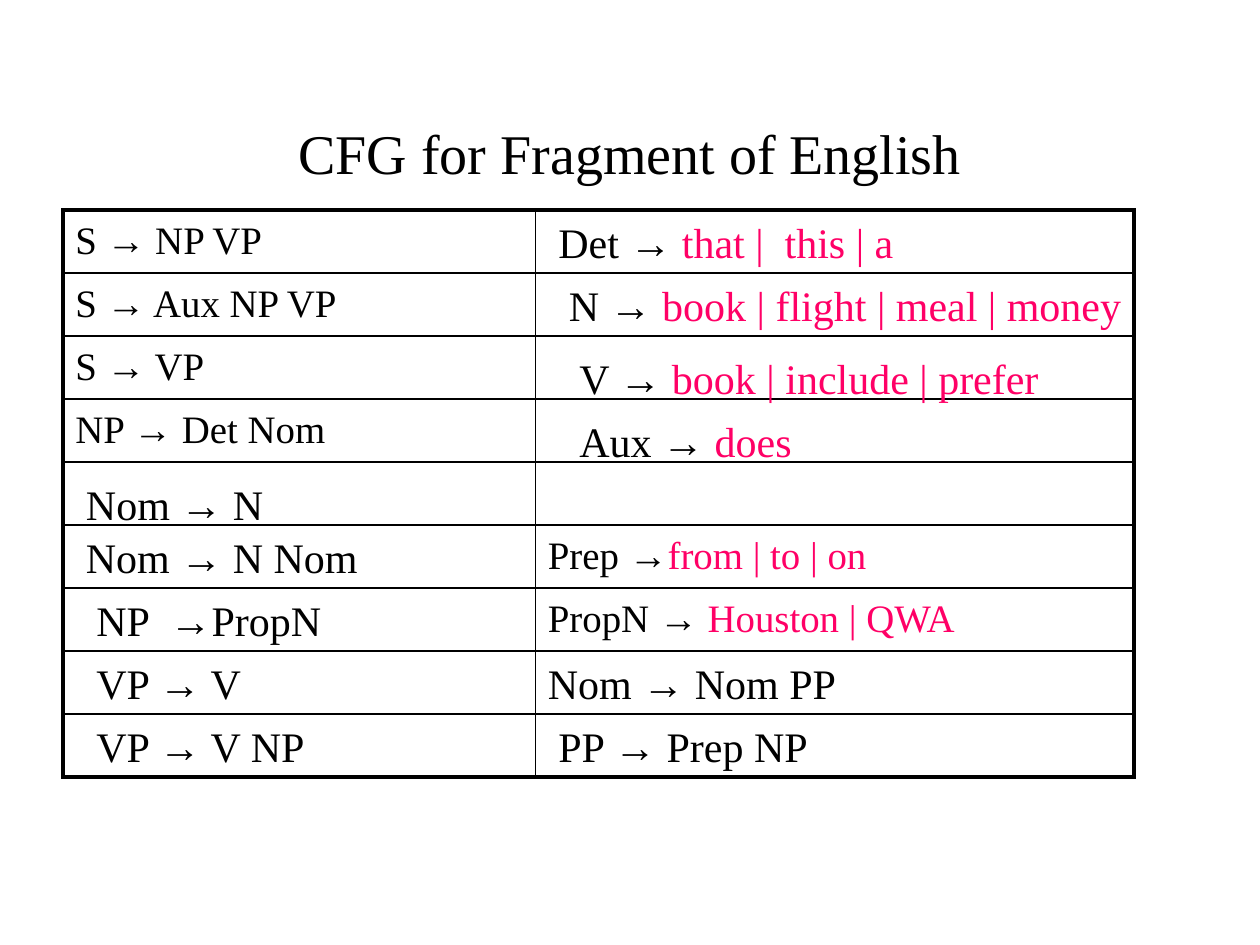
from dataclasses import dataclass

from lxml import etree
from pptx import Presentation
from pptx.dml.color import RGBColor
from pptx.enum.shapes import MSO_CONNECTOR
from pptx.enum.text import MSO_ANCHOR, MSO_AUTO_SIZE, PP_ALIGN
from pptx.oxml.ns import qn
from pptx.util import Inches, Pt

STRAIGHT = MSO_CONNECTOR.STRAIGHT
MIDDLE, TOP = MSO_ANCHOR.MIDDLE, MSO_ANCHOR.TOP
FIT_SHAPE, NO_FIT = MSO_AUTO_SIZE.SHAPE_TO_FIT_TEXT, MSO_AUTO_SIZE.NONE
CENTER, LEFT = PP_ALIGN.CENTER, PP_ALIGN.LEFT


@dataclass(frozen=True)
class Theme:
    """Colours, fonts and type sizes of the slide."""
    ink: RGBColor = RGBColor(0x00, 0x00, 0x00)
    word: RGBColor = RGBColor(0xFF, 0x00, 0x66)
    font: str = "Times New Roman"
    arrow_font: str = "Arial"
    title: float = 32
    cell: float = 22.2
    label: float = 24
    space: float = 6
    frame: float = 2.25
    rule: float = 1


@dataclass(frozen=True)
class Grid:
    """Column edges and even rows, with a small step for nudged labels."""
    columns: tuple = (0.5, 4.25, 9)
    top: float = 5 / 3
    row: float = 0.5
    rows: int = 9
    step: float = 1 / 12

    def y(self, row):
        """Return the top edge of a row."""
        return self.top + row * self.row


@dataclass(frozen=True)
class Production:
    """A grammar rule; a width marks a free label, none a full cell."""
    row: int
    column: int
    symbol: str
    expansion: str
    width: float = 0
    indent: int = 0
    drop: int = 0


THEME, GRID = Theme(), Grid()

PRODUCTIONS = (
    Production(0, 0, "S ", " NP VP"),
    Production(1, 0, "S ", " Aux NP VP"),
    Production(2, 0, "S ", " VP"),
    Production(3, 0, "NP ", " Det Nom"),
    Production(4, 0, "Nom ", " N", 1.61, 1, 1),
    Production(5, 0, "Nom ", " N Nom", 2.36, 1),
    Production(6, 0, "NP  ", "PropN", 1.99, 2),
    Production(7, 0, "VP ", " V", 1.36, 2),
    Production(8, 0, "VP ", " V NP", 1.87, 2),
    Production(7, 1, "Nom ", " Nom PP", 2.49),
    Production(8, 1, "PP ", " Prep NP", 2.19, 1),
)

LEXICON = (
    Production(0, 1, "Det ", " that |  this | a", 2.9, 1),
    Production(1, 1, "N ", " book | flight | meal | money", 4.62, 2),
    Production(2, 1, "V ", " book | include | prefer", 3.89, 3, 1),
    Production(3, 1, "Aux ", " does", 1.92, 3, 1),
    Production(5, 1, "Prep ", "from | to | on"),
    Production(6, 1, "PropN ", " Houston | QWA"),
)


def add_text(page, spans, left, top, width, height, *, size, wrap=True,
             align=LEFT, anchor=TOP, space=0):
    """Add a one-paragraph box from (text, font, colour) spans."""
    box = page.shapes.add_textbox(Inches(left), Inches(top), Inches(width), Inches(height))
    frame = box.text_frame
    frame.word_wrap = wrap
    frame.auto_size = NO_FIT if wrap else FIT_SHAPE
    frame.vertical_anchor = anchor
    para = frame.paragraphs[0]
    para.alignment = align
    para.space_before = Pt(space)
    for text, font, colour in spans:
        span = para.add_run()
        span.text = text
        span.font.name = font
        span.font.size = Pt(size)
        span.font.color.rgb = colour


def add_line(page, start, end, heavy):
    """Add a straight line, heavy with square ends or thin."""
    line = page.shapes.add_connector(STRAIGHT, *map(Inches, start + end))
    line.line.color.rgb = THEME.ink
    line.line.width = Pt(THEME.frame if heavy else THEME.rule)
    properties = line._element.spPr
    if heavy:
        properties.find(qn("a:ln")).set("cap", "sq")
    etree.SubElement(properties, qn("a:effectLst"))


def add_grid(page):
    """Rule the grid with heavy outer edges."""
    left, right = GRID.columns[0], GRID.columns[-1]
    top, bottom = GRID.y(0), GRID.y(GRID.rows)
    for row in range(GRID.rows + 1):
        y = GRID.y(row)
        add_line(page, (left, y), (right, y), row in (0, GRID.rows))
    for x in GRID.columns:
        add_line(page, (x, top), (x, bottom), x in (left, right))


def add_production(page, item, colour):
    """Place a grammar rule in its grid cell."""
    left, right = GRID.columns[item.column:item.column + 2]
    spans = ((item.symbol, THEME.font, THEME.ink),
             ("→", THEME.arrow_font, THEME.ink),
             (item.expansion, THEME.font, colour))
    full = not item.width
    add_text(page, spans, left + item.indent * GRID.step,
             GRID.y(item.row) + item.drop * GRID.step,
             item.width or right - left, GRID.row, wrap=full,
             size=THEME.cell if full else THEME.label,
             space=THEME.space if full else 0)


def main():
    """Build and save the slide."""
    deck = Presentation()
    deck.slide_width, deck.slide_height = Inches(10), Inches(7.5)
    page = deck.slides.add_slide(deck.slide_layouts[6])
    add_text(page, [("CFG for Fragment of English", THEME.font, THEME.ink)],
             0.75, 0.67, 8.5, 1.08, size=THEME.title, align=CENTER, anchor=MIDDLE)
    add_grid(page)
    for items, colour in ((PRODUCTIONS, THEME.ink), (LEXICON, THEME.word)):
        for item in items:
            add_production(page, item, colour)
    deck.save("out.pptx")


if __name__ == "__main__":
    main()
